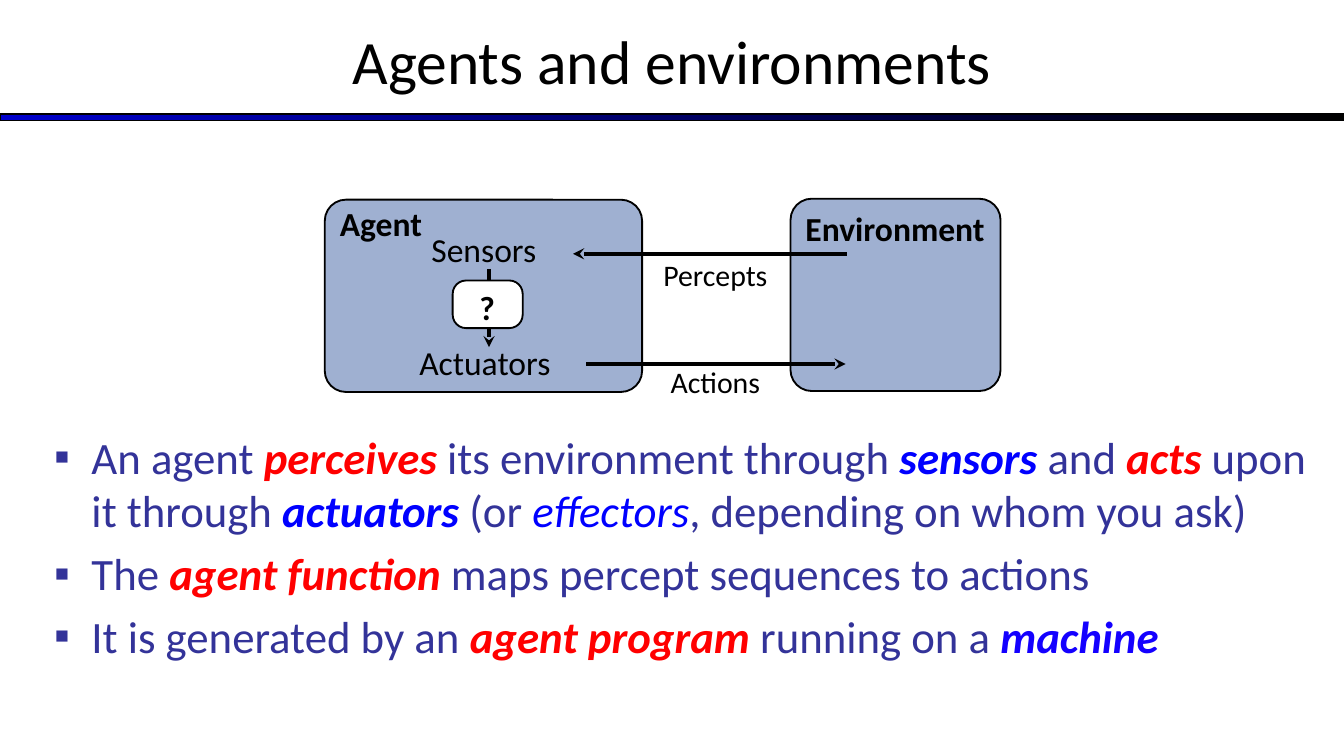
from lxml import etree
from pptx import Presentation
from pptx.dml.color import RGBColor
from pptx.enum import shapes, text
from pptx.oxml import ns
from pptx.util import Pt

BLACK = RGBColor(0x00, 0x00, 0x00)
WHITE = RGBColor(0xFF, 0xFF, 0xFF)
STEEL = RGBColor(0x9F, 0xB0, 0xD1)
INDIGO = RGBColor(0x33, 0x33, 0x99)
RED = RGBColor(0xFF, 0x00, 0x00)
BLUE = RGBColor(0x00, 0x00, 0xFF)
VIOLET = RGBColor(0x14, 0x00, 0xFF)
NAVY = RGBColor(0x00, 0x00, 0xCC)

PLAIN = (INDIGO, False, False)
RED_TERM = (RED, True, True)
BLUE_TERM = (BLUE, True, True)
BLUE_ASIDE = (BLUE, False, True)
VIOLET_TERM = (VIOLET, True, True)

BULLETS = [
    [("An agent ", PLAIN), ("perceives", RED_TERM),
     (" its environment through ", PLAIN), ("sensors", BLUE_TERM),
     (" and ", PLAIN), ("acts", RED_TERM), (" upon it through ", PLAIN),
     ("actuators", BLUE_TERM), (" (or ", PLAIN), ("effectors", BLUE_ASIDE),
     (", depending on whom you ask)", PLAIN)],
    [("The ", PLAIN), ("agent function", RED_TERM),
     (" maps percept sequences to actions", PLAIN)],
    [("It is generated by an ", PLAIN), ("agent program", RED_TERM),
     (" running on a ", PLAIN), ("machine", VIOLET_TERM)],
]


class Slide:
    typeface = "Calibri"

    def __init__(self, deck):
        self.page = deck.slides.add_slide(deck.slide_layouts[1])

    def set_font(self, para, size, color, bold=False):
        para.font.name = self.typeface
        para.font.size = Pt(size)
        para.font.bold = bold
        para.font.color.rgb = color

    def place(self, box, left, top, width, height):
        box.left, box.top = Pt(left), Pt(top)
        box.width, box.height = Pt(width), Pt(height)

    def set_frame(self, frame, side, edge, anchor):
        frame.word_wrap = True
        frame.auto_size = text.MSO_AUTO_SIZE.NONE
        frame.margin_left = frame.margin_right = Pt(side)
        frame.margin_top = frame.margin_bottom = Pt(edge)
        frame.vertical_anchor = anchor

    def title(self, words, *place):
        box = self.page.shapes.title
        self.place(box, *place)
        self.set_frame(box.text_frame, 5, 3, text.MSO_ANCHOR.MIDDLE)
        box.text_frame.text = words
        para = box.text_frame.paragraphs[0]
        para.alignment = text.PP_ALIGN.CENTER
        self.set_font(para, 33, BLACK)

    def bullets(self, items, *place):
        box = self.page.placeholders[1]
        self.place(box, *place)
        frame = box.text_frame
        self.set_frame(frame, 5, 3, text.MSO_ANCHOR.TOP)
        for index, item in enumerate(items):
            para = frame.add_paragraph() if index else frame.paragraphs[0]
            self.add_bullet(para)
            para.space_before = Pt(4.8)
            self.set_font(para, 24, INDIGO)
            for words, (color, bold, italic) in item:
                span = para.add_run()
                span.text = words
                span.font.color.rgb = color
                span.font.bold = bold
                span.font.italic = italic

    def add_bullet(self, para):
        props = para._p.get_or_add_pPr()
        props.set("marL", str(Pt(20)))
        props.set("indent", str(-Pt(20)))
        color = etree.SubElement(props, ns.qn("a:buClr"))
        etree.SubElement(color, ns.qn("a:srgbClr"), val=str(INDIGO))
        etree.SubElement(props, ns.qn("a:buChar"), char="▪")

    def bar(self, *place):
        box = self.page.shapes.add_shape(
            shapes.MSO_SHAPE.RECTANGLE, *map(Pt, place))
        box.shadow.inherit = False
        box.fill.gradient()
        box.fill.gradient_angle = 0
        for stop, color in zip(box.fill.gradient_stops, (NAVY, BLACK)):
            stop.color.rgb = color
        box.line.color.rgb = BLACK
        box.line.width = Pt(0.75)

    def panel(self, fill, rounding, *place):
        box = self.page.shapes.add_shape(
            shapes.MSO_SHAPE.ROUNDED_RECTANGLE, *map(Pt, place))
        box.shadow.inherit = False
        box.adjustments[0] = rounding
        box.fill.solid()
        box.fill.fore_color.rgb = fill
        box.line.color.rgb = BLACK
        box.line.width = Pt(1)

    def label(self, words, *place, size=18, bold=False,
              align=text.PP_ALIGN.CENTER):
        box = self.page.shapes.add_textbox(*map(Pt, place))
        self.set_frame(box.text_frame, 0, 0, text.MSO_ANCHOR.TOP)
        box.text_frame.margin_right = Pt(2.5)
        para = box.text_frame.paragraphs[0]
        para.text = words
        para.alignment = align
        para._p.get_or_add_pPr().set("marL", str(Pt(2)))
        self.set_font(para, size, BLACK, bold)

    def arrow(self, *ends):
        line = self.page.shapes.add_connector(
            shapes.MSO_CONNECTOR.STRAIGHT, *map(Pt, ends))
        line.line.color.rgb = BLACK
        line.line.width = Pt(2)
        etree.SubElement(line.line._get_or_add_ln(), ns.qn("a:tailEnd"),
                         type="stealth")
        etree.SubElement(line._element.spPr, ns.qn("a:effectLst"))


def main():
    deck = Presentation()
    deck.slide_width, deck.slide_height = Pt(720), Pt(405)
    slide = Slide(deck)

    slide.bar(0, 61, 720, 3.6)
    slide.title("Agents and environments", 0, -1.5, 720, 67.5)
    slide.bullets(BULLETS, 24, 227, 696, 134.5)

    slide.panel(STEEL, 0.11, 174, 107, 170, 103)
    slide.arrow(262, 144, 262, 186)
    slide.label("Agent", 180, 109, 62, 28, bold=True,
                align=text.PP_ALIGN.LEFT)
    slide.panel(WHITE, 0.28, 242.5, 150.3, 37.5, 25.5)
    slide.label("?", 254.5, 153.5, 13.5, 22, bold=True)
    slide.label("Sensors", 221, 122.5, 77, 29)
    slide.label("Actuators", 216.5, 183, 87, 23)

    slide.panel(STEEL, 0.11, 423.5, 106.5, 112.5, 103)
    slide.label("Environment", 416, 111.5, 127.5, 28, bold=True)

    slide.arrow(453.5, 136, 307, 136)
    slide.label("Percepts", 346.5, 137.5, 74, 21, size=16)
    slide.arrow(314, 195, 453, 195)
    slide.label("Actions", 351.5, 195, 64, 24, size=16)

    deck.save("out.pptx")


if __name__ == "__main__":
    main()
